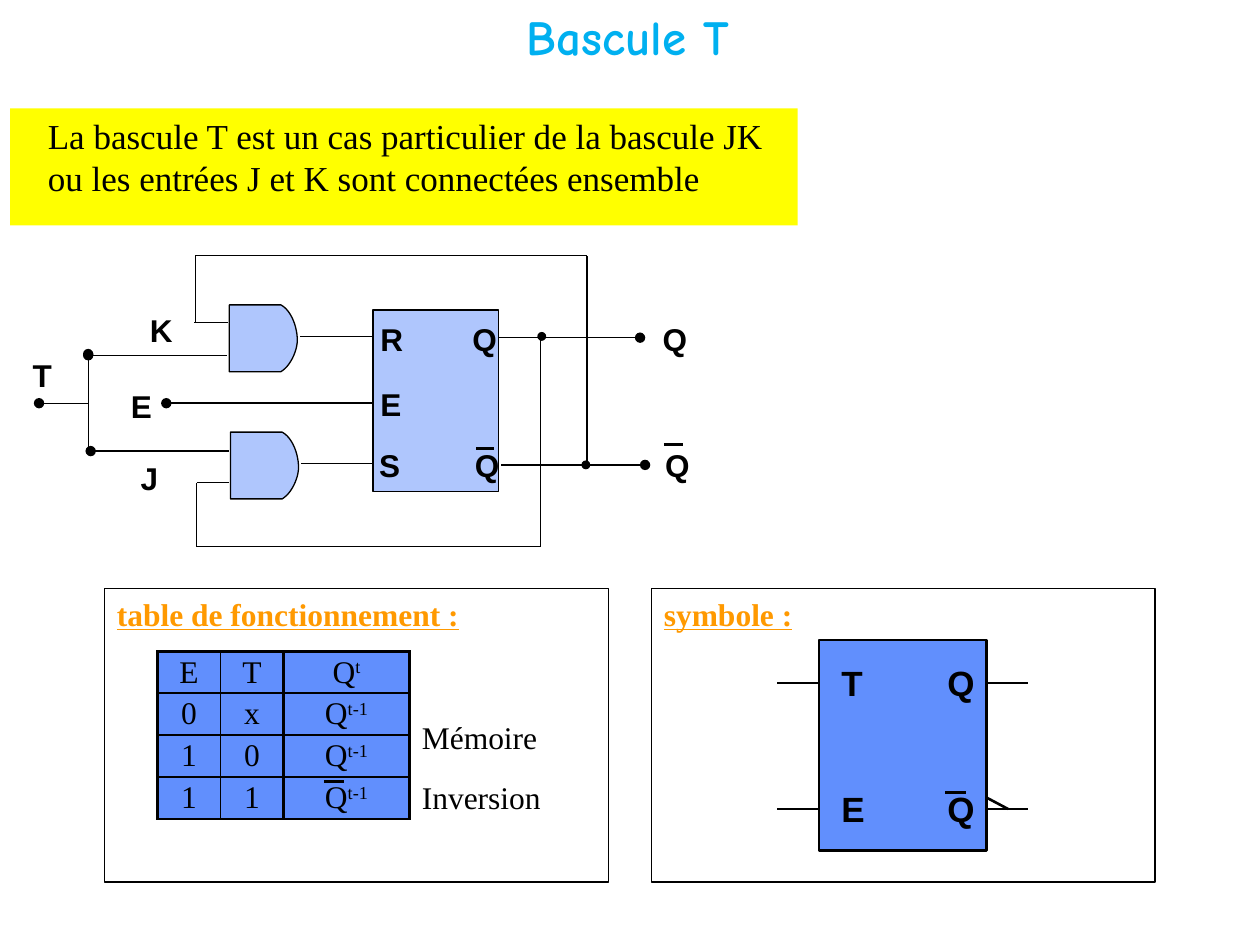
from typing import NamedTuple

from lxml import etree
from pptx import Presentation
from pptx import util as u
from pptx.dml.color import RGBColor
from pptx.enum import shapes, text
from pptx.oxml import ns

BLACK, BLUE, YELLOW, ORANGE, SKY = "000000", "618FFD", "FFFF00", "FF9900", "00B0F0"
SERIF, SANS, TITLE_FONT = "Times New Roman", "Arial", "Comic Neue"
CENTER, LEFT = text.PP_ALIGN.CENTER, text.PP_ALIGN.LEFT
TOP, MIDDLE = text.MSO_ANCHOR.TOP, text.MSO_ANCHOR.MIDDLE


class Wire(NamedTuple):
    x1: float
    y1: float
    x2: float
    y2: float
    width: float = 0.75
    dot: str = ""  # "headEnd" or "tailEnd"


class Label(NamedTuple):
    text: str
    x: float
    y: float


def color(value):
    return RGBColor.from_string(value)


def sub(parent, tag, **attributes):
    return etree.SubElement(parent, ns.qn(tag), attributes)


def place(shape, x, y, width, height):
    shape.left, shape.top = u.Inches(x), u.Inches(y)
    shape.width, shape.height = u.Inches(width), u.Inches(height)


def write(paragraph, content, *, superscript="", size=18, font=SERIF, fill=BLACK,
          bold=False, underline=False, align=CENTER):
    paragraph.alignment = align
    for part in filter(None, (content, superscript)):
        run = paragraph.add_run()
        run.text = part
        run.font.name, run.font.size = font, u.Pt(size)
        run.font.bold, run.font.underline = bold, underline
        run.font.color.rgb = color(fill)
        if part is superscript:
            run.font._element.set("baseline", "30000")


def add_text(slide, content, x, y, width, height, *, anchor=TOP, wrap=True,
             inset=True, **style):
    box = slide.shapes.add_textbox(*map(u.Inches, (x, y, width, height)))
    frame = box.text_frame
    frame.word_wrap, frame.vertical_anchor = wrap, anchor
    if not inset:
        frame.margin_left = frame.margin_right = frame.margin_top = frame.margin_bottom = 0
    write(frame.paragraphs[0], content, **style)


def paint(shape, fill, width, alpha=None):
    shape.shadow.inherit = False
    shape.line.color.rgb, shape.line.width = color(BLACK), u.Pt(width)
    if fill is None:
        shape.fill.background()
        return
    shape.fill.solid()
    shape.fill.fore_color.rgb = color(fill)
    if alpha:
        tint = shape._element.spPr.find(ns.qn("a:solidFill"))[0]
        sub(tint, "a:alpha", val=str(alpha * 1000))


def add_box(slide, x, y, width, height, fill=None, line=0.75, alpha=None,
            kind=shapes.MSO_SHAPE.RECTANGLE):
    shape = slide.shapes.add_shape(kind, *map(u.Inches, (x, y, width, height)))
    paint(shape, fill, line, alpha)


def add_wire(slide, wire: Wire):
    line = slide.shapes.add_connector(
        shapes.MSO_CONNECTOR.STRAIGHT, *map(u.Inches, wire[:4]))
    line.line.color.rgb, line.line.width = color(BLACK), u.Pt(wire.width)
    if wire.dot:
        sub(line.line._get_or_add_ln(), "a:" + wire.dot, type="oval")
    sub(line._element.spPr, "a:effectLst")


def add_outline(slide, points, close, fill, line, alpha=None):
    points = [(u.Inches(x), u.Inches(y)) for x, y in points]
    builder = slide.shapes.build_freeform(*points[0])
    builder.add_line_segments(points[1:], close=close)
    paint(builder.convert_to_shape(), fill, line, alpha)


def curve(p0, p1, p2, p3, steps=12):
    """Points of a cubic Bezier curve, without its first one."""
    for t in (i / steps for i in range(1, steps + 1)):
        s = 1 - t
        yield tuple(s**3 * a + 3 * s * s * t * b + 3 * s * t * t * c + t**3 * d
                    for a, b, c, d in zip(p0, p1, p2, p3))


def add_gate(slide, x, y):
    points = [(0, 0), (0.41, 0),
              *curve((0.41, 0), (0.5, 0.05), (0.54, 0.19), (0.54, 0.28)),
              *curve((0.54, 0.28), (0.54, 0.37), (0.48, 0.49), (0.41, 0.53)),
              (0, 0.53)]
    add_outline(slide, [(x + a, y + b) for a, b in points], True, BLUE, 0.75, 50)


def add_truth_table(slide):
    rows = [("E", "T", "t"), ("0", "x", "t-1"), ("1", "0", "t-1"), ("1", "1", "t-1")]
    table = slide.shapes.add_table(
        4, 3, *map(u.Inches, (1.25, 5.17, 2, 1.33))).table
    table.first_row = table.horz_banding = False
    for column, width in zip(table.columns, (0.5, 0.5, 1)):
        column.width = u.Inches(width)
    for r, row in enumerate(rows):
        table.rows[r].height = u.Inches(1.33 / 4)
        for c, value in enumerate(row):
            cell = table.cell(r, c)
            cell.margin_left = cell.margin_right = cell.margin_top = cell.margin_bottom = 0
            cell.vertical_anchor = MIDDLE
            if c == 2:
                write(cell.text_frame.paragraphs[0], "Q", superscript=value)
            else:
                write(cell.text_frame.paragraphs[0], value)
            properties = cell._tc.get_or_add_tcPr()
            thin = {0: "R", 1: "L"}.get(c)
            for side in "LRTB":
                width = u.Pt(0.75 if side == thin else 1.5)
                border = sub(properties, "a:ln" + side, w=str(width))
                sub(sub(border, "a:solidFill"), "a:srgbClr", val=BLACK)
            cell.fill.solid()
            cell.fill.fore_color.rgb = color(BLUE)


def fill_placeholders(slide):
    title, body = slide.shapes.title, slide.placeholders[1]
    place(title, 3.97, 0, 2.03, 0.57)
    place(body, 0.08, 0.86, 6.25, 0.93)
    for shape in (title, body):
        shape.text_frame.auto_size = text.MSO_AUTO_SIZE.NONE
        shape.text_frame.vertical_anchor = TOP
    title.text_frame.word_wrap = False
    write(title.text_frame.paragraphs[0], "Bascule T", size=28, font=TITLE_FONT,
          fill=SKY, bold=True)
    body.fill.solid()
    body.fill.fore_color.rgb = color(YELLOW)
    paragraph = body.text_frame.paragraphs[0]
    paragraph.level, paragraph.space_before = 1, u.Pt(0)
    properties = paragraph._p.get_or_add_pPr()
    properties.set("marL", str(u.Inches(0.2)))
    properties.set("indent", "0")
    sub(properties, "a:buNone")
    write(paragraph, "La bascule T est un cas particulier de la bascule JK "
          "ou les entrées J et K sont connectées ensemble", size=20, align=LEFT)


def draw_circuit(slide):
    add_box(slide, 2.96, 2.46, 1, 1.44, BLUE, alpha=50)
    add_gate(slide, 1.82, 2.42)
    add_gate(slide, 1.83, 3.43)
    wires = [
        # Inputs
        Wire(0.31, 3.2, 0.71, 3.2, dot="headEnd"), Wire(0.7, 2.81, 0.7, 3.61, dot="headEnd"),
        Wire(0.7, 2.82, 1.8, 2.82, dot="headEnd"), Wire(0.72, 3.58, 1.82, 3.58, dot="headEnd"),
        Wire(2.96, 3.2, 1.32, 3.2, 1, "tailEnd"),
        # Gates to block, block to outputs
        Wire(2.38, 2.67, 2.64, 2.67), Wire(2.64, 2.67, 2.96, 2.67, 1),
        Wire(2.39, 3.68, 2.96, 3.68),
        Wire(5.08, 2.68, 3.96, 2.68, dot="headEnd"), Wire(5.12, 3.69, 3.98, 3.69, dot="headEnd"),
        # Feedback loops
        Wire(4.66, 3.68, 4.66, 2.03), Wire(4.66, 2.03, 1.55, 2.03),
        Wire(1.55, 2.03, 1.55, 2.56), Wire(1.54, 2.56, 1.81, 2.56),
        Wire(4.29, 2.67, 4.29, 4.34), Wire(4.29, 4.34, 1.56, 4.34),
        Wire(1.56, 4.34, 1.56, 3.83), Wire(1.56, 3.83, 1.82, 3.83),
        # Bars over the inverted outputs
        Wire(3.78, 3.56, 3.92, 3.56, 1.5), Wire(5.27, 3.53, 5.42, 3.53, 1.5)]
    for wire in wires:
        add_wire(slide, wire)
    for x, y in ((4.27, 2.64), (4.62, 3.66)):
        add_box(slide, x, y, 0.06, 0.06, BLACK, kind=shapes.MSO_SHAPE.OVAL)
    for name, x, y in (Label("R", 3.02, 2.56), Label("E", 3.02, 3.08), Label("S", 3.01, 3.56),
                       Label("Q", 3.75, 2.56), Label("Q", 3.77, 3.56)):
        add_text(slide, name, x, y, 0.16, 0.26, anchor=MIDDLE, wrap=False, inset=False,
                 font=SANS, bold=True)
    for name, x, y in (Label("T", 0.16, 2.78), Label("K", 1.09, 2.42), Label("E", 0.94, 3.02),
                       Label("J", 1.01, 3.59), Label("Q", 5.16, 2.49), Label("Q", 5.18, 3.49)):
        add_text(slide, name, x, y, 0.35, 0.4, wrap=False, font=SANS, bold=True)


def draw_symbol(slide):
    add_box(slide, 6.5, 5.08, 1.33, 1.67, BLUE, 1.5)
    for y, left in ((5.42, "T"), (6.42, "E")):
        for x in (6.17, 7.83):
            add_wire(slide, Wire(x, y, x + 0.33, y, 1.5))
        for name, x in ((left, 6.58), ("Q", 7.42)):
            add_text(slide, name, x, y - 0.17, 0.33, 0.33, anchor=MIDDLE, wrap=False,
                     size=20, font=SANS, bold=True)
    add_wire(slide, Wire(7.5, 6.29, 7.67, 6.29, 1.5))
    add_outline(slide, [(7.83, 6.42), (7.83, 6.33), (8, 6.42)], False, None, 1.5)


def main():
    presentation = Presentation()
    presentation.slide_width, presentation.slide_height = u.Inches(10), u.Inches(7.5)
    slide = presentation.slides.add_slide(presentation.slide_layouts[1])
    fill_placeholders(slide)
    # Framed panels
    for heading, x in (("table de fonctionnement :", 0.83), ("symbole :", 5.17)):
        add_box(slide, x, 4.67, 4, 2.33, line=1)
        add_text(slide, heading, x, 4.67, 4, 0.4, fill=ORANGE, bold=True,
                 underline=True, align=LEFT)
    add_truth_table(slide)
    add_wire(slide, Wire(2.57, 6.2, 2.73, 6.2, 1.5))
    for note, y in (("Mémoire", 5.68), ("Inversion", 6.16)):
        add_text(slide, note, 3.25, y, 1.33, 0.33, anchor=MIDDLE, align=LEFT)
    draw_symbol(slide)
    draw_circuit(slide)
    presentation.save("out.pptx")


if __name__ == "__main__":
    main()
